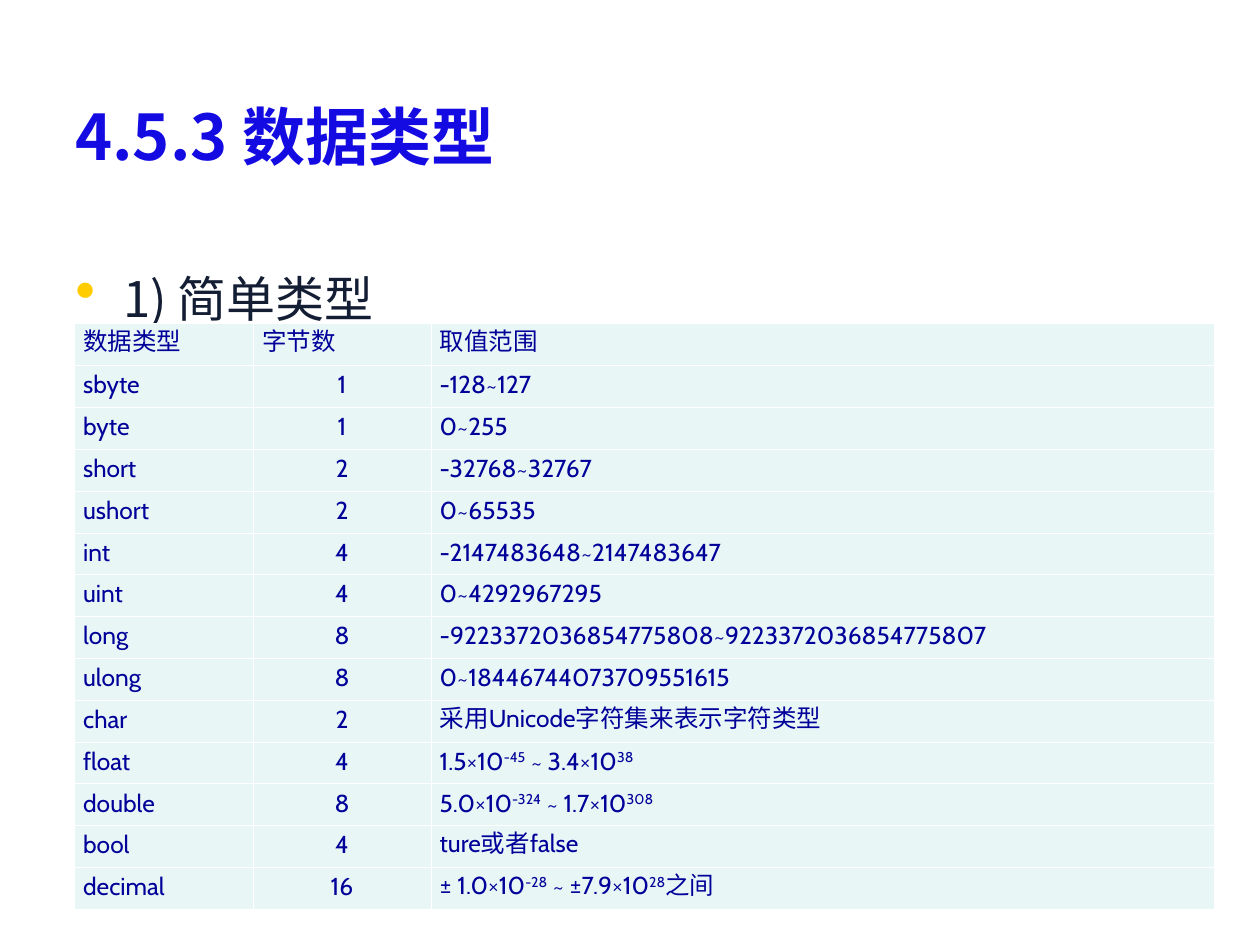
"""Build the slide that lists the simple data types with their sizes and ranges."""
from lxml.etree import SubElement
from pptx import Presentation
from pptx.dml.color import RGBColor
from pptx.enum.text import MSO_ANCHOR as Anchor, PP_ALIGN as Align
from pptx.oxml import parse_xml
from pptx.oxml.ns import nsdecls, qn
from pptx.util import Inches, Pt

TITLE = "4.5.3 数据类型"
TOPIC = "1) 简单类型"
SUPERSCRIPT_MARK = "^"
ROWS = [
    ("数据类型", "字节数", "取值范围"),
    ("sbyte", "1", "-128~127"),
    ("byte", "1", "0~255"),
    ("short", "2", "-32768~32767"),
    ("ushort", "2", "0~65535"),
    ("int", "4", "-2147483648~2147483647"),
    ("uint", "4", "0~4292967295"),
    ("long", "8", "-9223372036854775808~9223372036854775807"),
    ("ulong", "8", "0~18446744073709551615"),
    ("char", "2", "采用Unicode字符集来表示字符类型"),
    ("float", "4", "1.5×10^-45^ ~ 3.4×10^38"),
    ("double", "8", "5.0×10^-324^ ~ 1.7×10^308"),
    ("bool", "4", "ture或者false"),
    ("decimal", "16", "± 1.0×10^-28^ ~ ±7.9×10^28^之间"),
]
COLUMNS = [1.42, 1.41, 6.22]
TABLE_LEFT, TABLE_TOP, TABLE_HEIGHT = 0.59, 2.57, 4.65
MARGIN = 0.5
CJK_FONT, LATIN_FONT = "Noto Sans CJK SC", "Cabin"
TITLE_BLUE, TOPIC_NAVY, TABLE_BLUE = "140AE2", "131D33", "010199"
CELL_FILL, BORDER, BULLET = "E8F6F6", "FFFFFF", "FFCC00"


def color(value):
    return RGBColor.from_string(value)


def style(span, size, face, hue, bold=False):
    font = span.font
    font.size, font.name, font.bold = Pt(size), face, bold
    font.color.rgb = color(hue)
    SubElement(font._element, qn("a:ea")).set("typeface", CJK_FONT)


def add_text(page, top, height, text, size, hue, bold=False):
    width = 10 - 2 * MARGIN
    box = page.shapes.add_textbox(*map(Inches, (MARGIN, top, width, height)))
    frame = box.text_frame
    frame.word_wrap = True
    frame.text = text
    style(frame.paragraphs[0].runs[0], size, CJK_FONT, hue, bold)
    return frame


def add_bullet(para):
    props = para._p.get_or_add_pPr()
    props.set("marL", str(Inches(0.38)))
    props.set("indent", str(-Inches(0.38)))
    for xml in (f'<a:buClr {nsdecls("a")}><a:srgbClr val="{BULLET}"/></a:buClr>',
                f'<a:buSzPct {nsdecls("a")} val="120000"/>',
                f'<a:buChar {nsdecls("a")} char="•"/>'):
        props.append(parse_xml(xml))


def add_borders(cell):
    props = cell._tc.get_or_add_tcPr()
    for place, side in enumerate(("lnL", "lnR", "lnT", "lnB")):
        props.insert(place, parse_xml(
            f'<a:{side} {nsdecls("a")} w="{Pt(0.45)}"><a:solidFill>'
            f'<a:srgbClr val="{BORDER}"/></a:solidFill></a:{side}>'))


def fill_cell(cell, text, align):
    cell.margin_left = cell.margin_right = Inches(0.07)
    cell.margin_top = cell.margin_bottom = Inches(0.05)
    cell.fill.solid()
    cell.fill.fore_color.rgb = color(CELL_FILL)
    add_borders(cell)
    para = cell.text_frame.paragraphs[0]
    para.alignment, para.line_spacing = align, Pt(16)
    for index, part in enumerate(text.split(SUPERSCRIPT_MARK)):
        span = para.add_run()
        span.text = part
        style(span, 14, LATIN_FONT, TABLE_BLUE)
        if index % 2:
            span.font._element.set("baseline", "30000")


def add_type_table(page):
    table = page.shapes.add_table(
        len(ROWS), len(COLUMNS), Inches(TABLE_LEFT), Inches(TABLE_TOP),
        Inches(sum(COLUMNS)), Inches(TABLE_HEIGHT)).table
    for column, width in zip(table.columns, COLUMNS):
        column.width = Inches(width)
    for row_index, values in enumerate(ROWS):
        for column_index, text in enumerate(values):
            centred = row_index > 0 and column_index == 1
            align = Align.CENTER if centred else Align.JUSTIFY
            fill_cell(table.cell(row_index, column_index), text, align)


def main():
    deck = Presentation()
    deck.slide_width, deck.slide_height = Inches(10), Inches(7.5)
    page = deck.slides.add_slide(deck.slide_layouts[6])
    title = add_text(page, 0.32, 1.51, TITLE, 36, TITLE_BLUE, bold=True)
    title.vertical_anchor = Anchor.MIDDLE
    topic = add_text(page, 2.08, 4.5, TOPIC, 28, TOPIC_NAVY)
    add_bullet(topic.paragraphs[0])
    add_type_table(page)
    deck.save("out.pptx")


if __name__ == "__main__":
    main()
